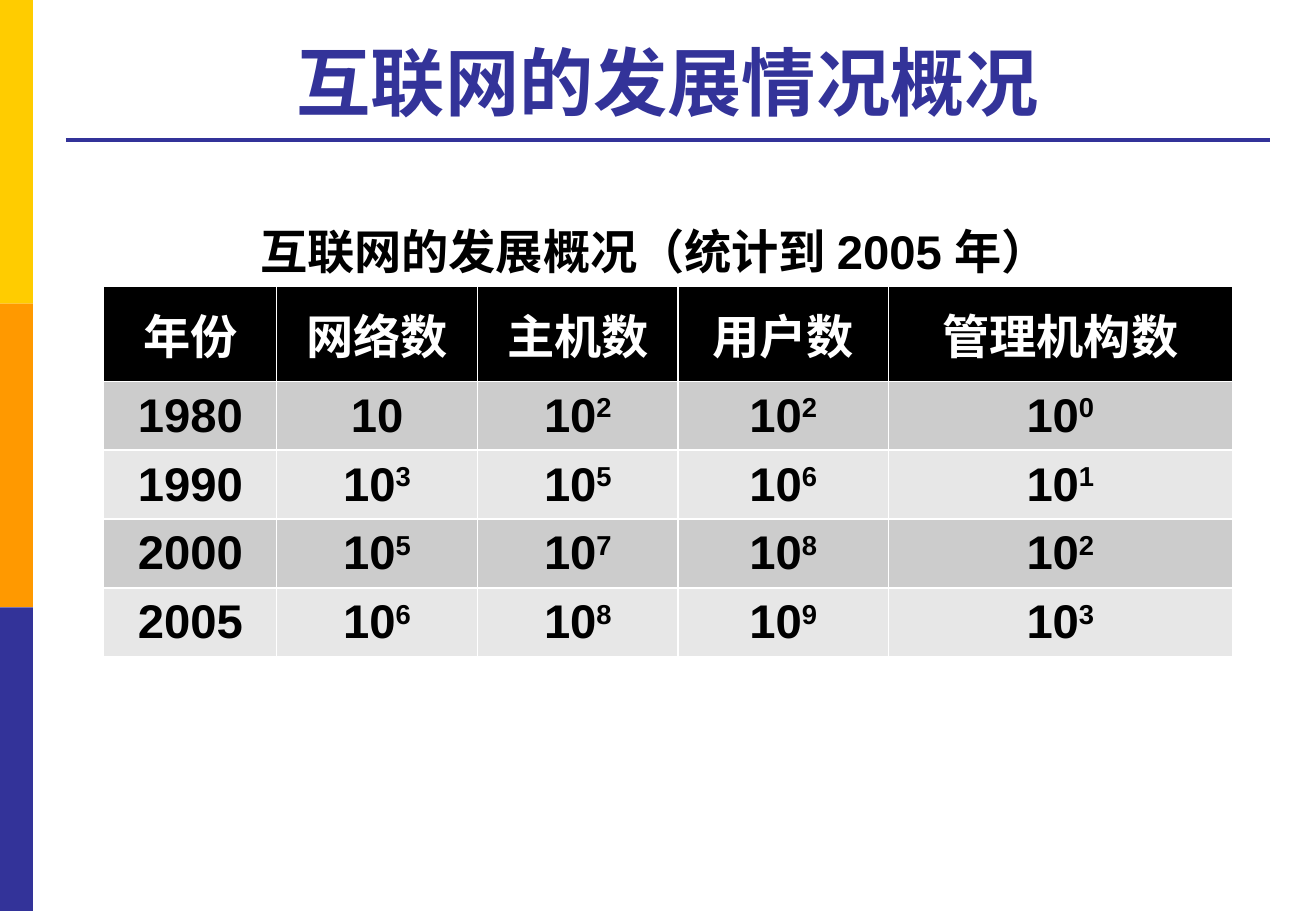
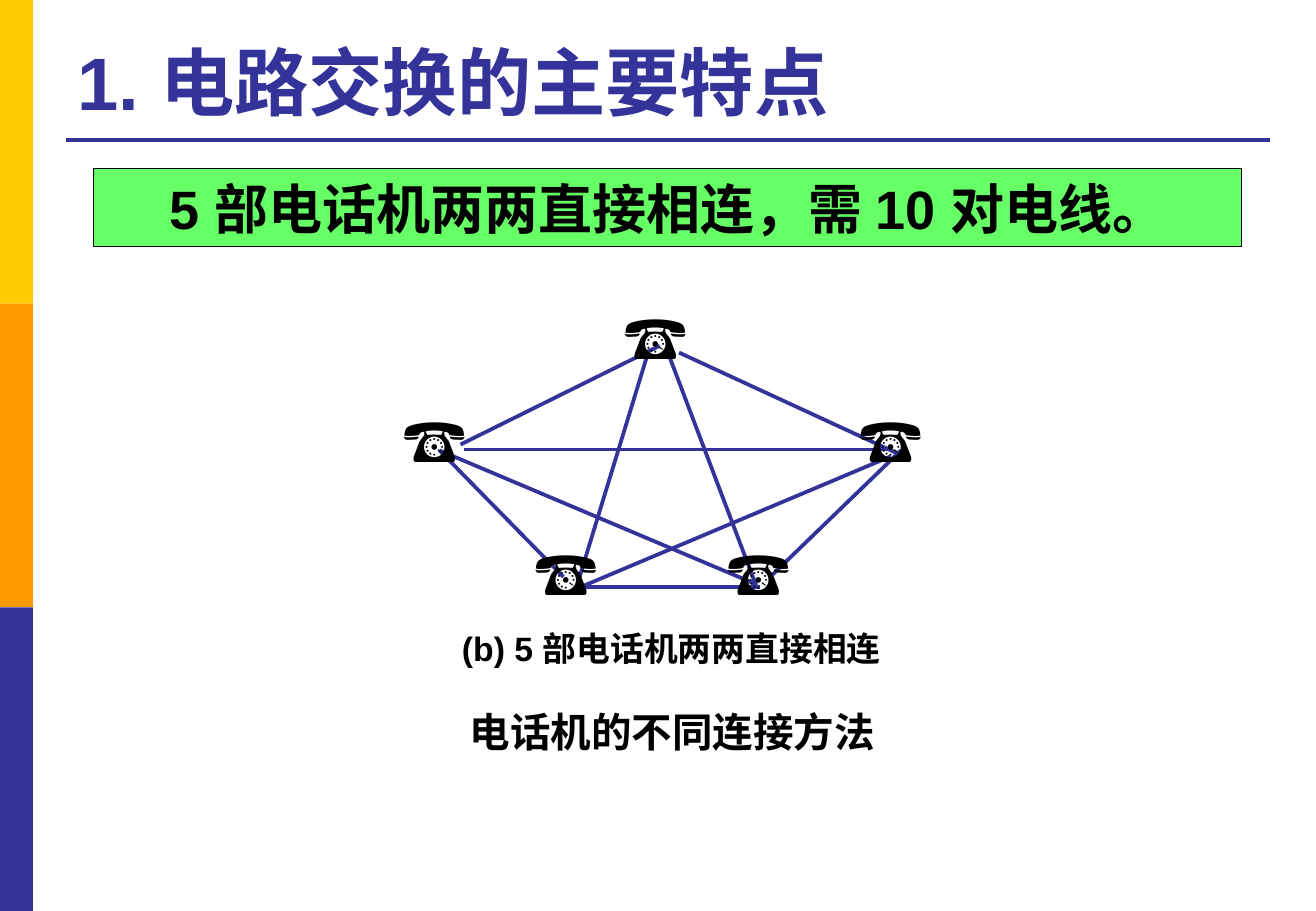
import pptx
import pptx.util
import pptx.dml.color
import pptx.enum.shapes
import pptx.enum.text
import pptx.oxml.ns
import lxml.etree

Pt = pptx.util.Pt
RGBColor = pptx.dml.color.RGBColor
ALIGN = pptx.enum.text.PP_ALIGN
ANCHOR = pptx.enum.text.MSO_ANCHOR
SHAPE = pptx.enum.shapes.MSO_SHAPE

YELLOW = RGBColor(0xFF, 0xCC, 0x00)
ORANGE = RGBColor(0xFF, 0x99, 0x00)
BLUE = RGBColor(0x33, 0x33, 0x99)
GREEN = RGBColor(0x66, 0xFF, 0x66)
BLACK = RGBColor(0x00, 0x00, 0x00)
WHITE = RGBColor(0xFF, 0xFF, 0xFF)
DARK_ROW = RGBColor(0xCC, 0xCC, 0xCC)
LIGHT_ROW = RGBColor(0xE7, 0xE7, 0xE7)


def add_text(s, box, text, size, color=BLACK, align=ALIGN.CENTER, font="Arial", bold=True, fill=None):
    """Add a one-paragraph text box, or an outlined rectangle when a fill is given."""
    box = [Pt(v) for v in box]
    if fill is None:
        sp = s.shapes.add_textbox(*box)
    else:
        sp = s.shapes.add_shape(SHAPE.RECTANGLE, *box)
        sp.shadow.inherit = False
        sp.fill.solid()
        sp.fill.fore_color.rgb = fill
        sp.line.color.rgb = BLACK
        sp.line.width = Pt(0.75)
    tf = sp.text_frame
    tf.word_wrap = True
    p = tf.paragraphs[0]
    p.text = text
    p.alignment = align
    p.font.size, p.font.name, p.font.bold = Pt(size), font, bold
    p.font.color.rgb = color
    return sp


def add_line(s, x1, y1, x2, y2):
    line = s.shapes.add_connector(
        pptx.enum.shapes.MSO_CONNECTOR.STRAIGHT, Pt(x1), Pt(y1), Pt(x2), Pt(y2))
    line.line.color.rgb = BLUE
    line.line.width = Pt(2.25)
    spPr = line._element.spPr
    lxml.etree.SubElement(spPr, pptx.oxml.ns.qn("a:effectLst"))


prs = pptx.Presentation()
prs.slide_width, prs.slide_height = Pt(780), Pt(540)

# Side bands, title and rule on every slide
slides = []
for title, align in [("互联网的发展情况概况", ALIGN.CENTER), ("1. 电路交换的主要特点", ALIGN.LEFT)]:
    s = prs.slides.add_slide(prs.slide_layouts[6])
    for i, color in enumerate([YELLOW, ORANGE, BLUE]):
        band = s.shapes.add_shape(SHAPE.RECTANGLE, 0, Pt(180 * i), Pt(19.5), Pt(180))
        band.shadow.inherit = False
        band.fill.solid()
        band.fill.fore_color.rgb = color
        band.line.fill.background()
    add_line(s, 39, 83, 753, 83)
    sp = add_text(s, (39, 15, 714, 63), title, 44, BLUE, align)
    sp.text_frame.vertical_anchor = ANCHOR.BOTTOM
    slides.append(s)

growth_slide, circuit_slide = slides

# Slide 1: growth table, powers of ten given as (base, exponent)
HEADERS = ["年份", "网络数", "主机数", "用户数", "管理机构数"]
EXPONENTS = {"1980": ["", "2", "2", "0"], "1990": ["3", "5", "6", "1"],
             "2000": ["5", "7", "8", "2"], "2005": ["6", "8", "9", "3"]}
rows = [[(h, "") for h in HEADERS]]
rows += [[(year, "")] + [("10", e) for e in exps] for year, exps in EXPONENTS.items()]
col_widths = [102.5, 119, 119, 124.5, 204]
row_heights = [56.5] + [38.5] * 4

table = growth_slide.shapes.add_table(
    len(rows), len(HEADERS), Pt(61.5), Pt(169.5), Pt(sum(col_widths)), Pt(sum(row_heights))).table
for column, width in zip(table.columns, col_widths):
    column.width = Pt(width)
for r_i, row in enumerate(rows):
    table.rows[r_i].height = Pt(row_heights[r_i])
    fill = BLACK if r_i == 0 else DARK_ROW if r_i % 2 else LIGHT_ROW
    for c_i, (base, exponent) in enumerate(row):
        cell = table.cell(r_i, c_i)
        cell.fill.solid()
        cell.fill.fore_color.rgb = fill
        cell.vertical_anchor = ANCHOR.MIDDLE
        p = cell.text_frame.paragraphs[0]
        p.alignment = ALIGN.CENTER
        p.font.size, p.font.name, p.font.bold = Pt(28), "Arial", True
        p.font.color.rgb = WHITE if r_i == 0 else BLACK
        p.add_run().text = base
        if exponent:
            r = p.add_run()
            r.text = exponent
            r._r.get_or_add_rPr().set("baseline", "30000")

add_text(growth_slide, (125, 128, 526, 41), "互联网的发展概况（统计到 2005 年）", 28)

# Slide 2: five telephones, each wired to the other four
add_text(circuit_slide, (55.5, 100, 680.5, 46), "5 部电话机两两直接相连，需 10 对电线。", 32, fill=GREEN)
add_text(circuit_slide, (169, 415.5, 459, 36), "电话机的不同连接方法", 24)
add_text(circuit_slide, (257, 368.5, 282, 32), "(b) 5 部电话机两两直接相连", 20)

WIRES = [
    (273, 263.5, 391, 205), (402.5, 209, 533.5, 269.5), (260.5, 267, 334, 342),
    (343.5, 348, 450.5, 348), (458, 340.5, 534, 267), (395.5, 208, 448.5, 348),
    (384, 209.5, 342, 347), (275, 266.5, 529, 266.5), (260.5, 267, 448.5, 346.5),
    (346.5, 347, 528, 270.5),
]
for wire in WIRES:
    add_line(circuit_slide, *wire)

PHONES = [(363, 173.5), (232, 234.5), (502.5, 234.5), (424, 313.5), (310, 313.5)]
for x, y in PHONES:
    add_text(circuit_slide, (x, y, 62.5, 51), "☎", 36, align=ALIGN.LEFT,
             font="Times New Roman", bold=False)

prs.save("out.pptx")
